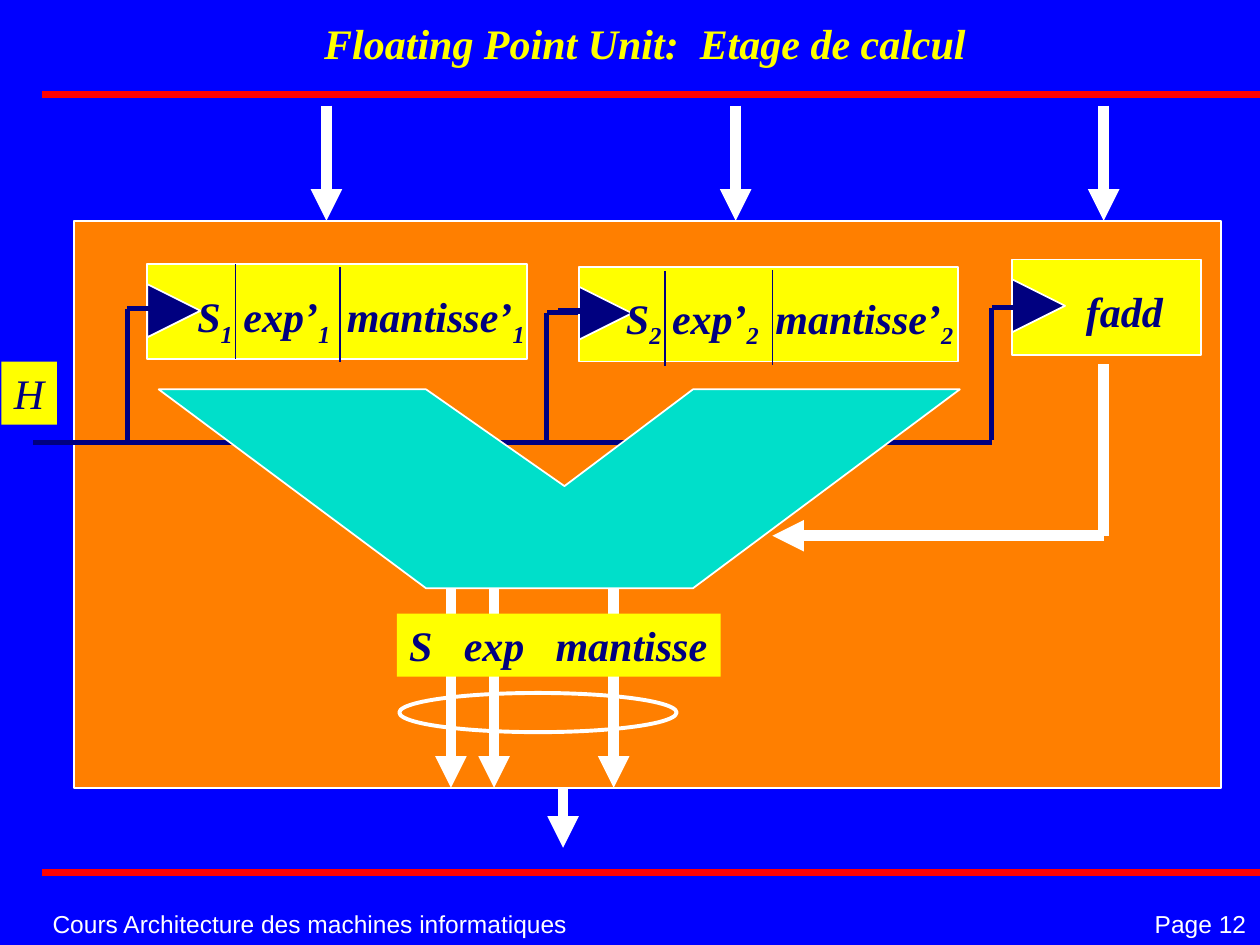
from dataclasses import dataclass

from lxml import etree
from pptx import Presentation
from pptx import util as u
from pptx.dml.color import RGBColor
from pptx.enum import shapes, text
from pptx.oxml.ns import qn

COLORS = {
    "blue": "0000FF", "red": "FF0100", "white": "FFFFFF", "yellow": "FFFF00",
    "orange": "FF7F00", "navy": "000080", "turquoise": "00DFCA",
}
SERIF, SANS = "Times New Roman", "Arial"
PP = text.PP_ALIGN
SHAPE = shapes.MSO_SHAPE


@dataclass
class Box:
    """Position and size in centimetres."""
    left: float
    top: float
    width: float
    height: float

    def emu(self) -> tuple:
        return tuple(u.Cm(v) for v in (self.left, self.top, self.width, self.height))


@dataclass
class Register:
    box: Box
    label: Box
    runs: list[str]          # a leading "_" marks a subscript
    separators: list[tuple[float, float]]   # x and top of each divider


@dataclass
class ClockTap:
    x: float
    y: float
    bottom: float


def rgb(color: str) -> RGBColor:
    return RGBColor.from_string(COLORS[color])


def paint(shape, fill: str | None, line: str | None, width: float = 1) -> None:
    shape.shadow.inherit = False
    if fill:
        shape.fill.solid()
        shape.fill.fore_color.rgb = rgb(fill)
    else:
        shape.fill.background()
    if line:
        shape.line.color.rgb = rgb(line)
        shape.line.width = u.Pt(width)
    else:
        shape.line.fill.background()


def draw_shape(slide, kind, box: Box, fill: str | None, line: str | None = None,
               width: float = 1):
    shape = slide.shapes.add_shape(kind, *box.emu())
    paint(shape, fill, line, width)
    return shape


def draw_line(slide, x1: float, y1: float, x2: float, y2: float, color: str,
              width: float, arrow: bool = False) -> None:
    line = slide.shapes.add_connector(
        shapes.MSO_CONNECTOR.STRAIGHT, u.Cm(x1), u.Cm(y1), u.Cm(x2), u.Cm(y2))
    line.line.color.rgb = rgb(color)
    line.line.width = u.Pt(width)
    if arrow:
        etree.SubElement(line.line._get_or_add_ln(), qn("a:tailEnd"), type="triangle")
    etree.SubElement(line._element.spPr, qn("a:effectLst"))


def write(shape, runs: list[str], color: str, size: float = 24, font: str = SERIF,
          bold: bool = True, italic: bool = True, align=PP.LEFT,
          anchor=text.MSO_ANCHOR.TOP, tabs: tuple = ()) -> None:
    frame = shape.text_frame
    frame.word_wrap = False
    frame.vertical_anchor = anchor
    paragraph = frame.paragraphs[0]
    paragraph.alignment = align
    if tabs:
        stops = etree.SubElement(paragraph._p.get_or_add_pPr(), qn("a:tabLst"))
        for stop in tabs:
            etree.SubElement(stops, qn("a:tab"), pos=str(u.Cm(stop)), algn="l")
    paragraph.font.name, paragraph.font.size = font, u.Pt(size)
    paragraph.font.bold, paragraph.font.italic = bold, italic
    paragraph.font.color.rgb = rgb(color)
    for content in runs:
        run = paragraph.add_run()
        run.text = content.removeprefix("_")
        if content.startswith("_"):
            run._r.get_or_add_rPr().set("baseline", "-25000")


def draw_text(slide, box: Box, runs: list[str], color: str, **style) -> None:
    write(slide.shapes.add_textbox(*box.emu()), runs, color, **style)


def draw_register(slide, register: Register) -> None:
    box = register.box
    draw_shape(slide, SHAPE.RECTANGLE, box, "yellow", "white")
    clock_input = draw_shape(slide, SHAPE.ISOSCELES_TRIANGLE,
                             Box(box.left, box.top + 0.4, 1.07, 1.07), "navy", "white")
    clock_input.rotation = 90
    for x, top in register.separators:
        draw_line(slide, x, top, x, top + 1.91, "navy", 1)
    draw_text(slide, register.label, register.runs, "navy")


def operand(index: int) -> list[str]:
    return ["S", f"_{index}", " exp’", f"_{index} ", " mantisse’", f"_{index}"]


FADD = Register(Box(20.4, 5.23, 3.81, 1.93), Box(21.64, 5.64, 2.06, 1.27), ["fadd"], [])
FIRST = Register(Box(2.97, 5.33, 7.65, 1.91), Box(3.73, 5.74, 7.11, 1.42),
                 operand(1), [(4.75, 5.33), (6.86, 5.38)])
SECOND = Register(Box(11.67, 5.38, 7.65, 1.91), Box(12.37, 5.77, 7.11, 1.42),
                  operand(2), [(13.41, 5.46), (15.57, 5.44)])
TAPS = [ClockTap(2.57, 6.22, 8.89), ClockTap(19.99, 6.2, 8.86), ClockTap(11.02, 6.3, 8.97)]
ALU = [(3.2, 7.85), (8.59, 11.86), (13.97, 11.86), (19.35, 7.85),
       (13.97, 7.85), (11.38, 9.8), (8.59, 7.85)]
UNIT = Box(1.5, 4.45, 23.11, 11.43)
UNIT_BOTTOM = UNIT.top + UNIT.height
OPCODE_X = 22.25


def main() -> None:
    deck = Presentation()
    deck.slide_width, deck.slide_height = u.Cm(25.4), u.Cm(19.05)
    slide = deck.slides.add_slide(deck.slide_layouts[6])
    slide.background.fill.solid()
    slide.background.fill.fore_color.rgb = rgb("blue")

    # Title, rules and footer
    for y in (1.9, 17.58):
        draw_line(slide, 0.84, y, 25.4, y, "red", 4)
    footer = dict(size=14, font=SANS, bold=False, italic=False,
                  anchor=text.MSO_ANCHOR.MIDDLE)
    draw_text(slide, Box(0.81, 18.21, 10.92, 0.84),
              ["Cours Architecture des machines informatiques"], "white", **footer)
    draw_text(slide, Box(23, 18.21, 2.4, 0.84), ["Page 12"], "white",
              align=PP.CENTER, **footer)
    draw_text(slide, Box(2.3, 0.43, 21.41, 1.07),
              ["Floating Point Unit:  Etage de calcul"], "yellow",
              align=PP.CENTER, anchor=text.MSO_ANCHOR.BOTTOM)

    # Unit with its inputs
    draw_shape(slide, SHAPE.RECTANGLE, UNIT, "orange", "white")
    for x in (6.58, 14.83, OPCODE_X):
        draw_line(slide, x, 2.13, x, UNIT.top, "white", 6, arrow=True)
    draw_register(slide, FADD)
    draw_register(slide, FIRST)

    # Clock
    for tap in TAPS:
        draw_line(slide, tap.x + 0.91, tap.y, tap.x, tap.y, "navy", 3)
        draw_line(slide, tap.x, tap.y, tap.x, tap.bottom, "navy", 3)
    draw_line(slide, 19.99, 8.92, 0.66, 8.92, "navy", 3)
    clock = draw_shape(slide, SHAPE.RECTANGLE, Box(0.03, 7.29, 1.12, 1.27), "yellow")
    write(clock, ["H"], "navy", bold=False)

    # Arithmetic unit
    points = [(u.Cm(x), u.Cm(y)) for x, y in ALU]
    outline = slide.shapes.build_freeform(*points[0])
    outline.add_line_segments(points[1:], close=True)
    paint(outline.convert_to_shape(), "turquoise", "white")

    draw_register(slide, SECOND)
    draw_line(slide, 12.19, 6.27, 11.25, 6.27, "navy", 3)

    # Output and operation control
    draw_line(slide, 11.35, UNIT_BOTTOM, 11.35, 17.09, "white", 6, arrow=True)
    draw_line(slide, OPCODE_X, 7.34, OPCODE_X, 10.8, "white", 6)
    draw_line(slide, OPCODE_X, 10.8, 15.57, 10.8, "white", 6, arrow=True)

    # Result fields
    for x in (9.09, 9.96, 12.37):
        draw_line(slide, x, 11.86, x, UNIT_BOTTOM, "white", 6, arrow=True)
    result = draw_shape(slide, SHAPE.RECTANGLE, Box(8, 12.37, 6.53, 1.27), "yellow")
    write(result, ["S\texp\tmantisse"], "navy", tabs=(1.1, 2.95))
    draw_shape(slide, SHAPE.OVAL, Box(8.05, 13.97, 5.59, 0.79), None, "white", 2.25)

    deck.save("out.pptx")


if __name__ == "__main__":
    main()
